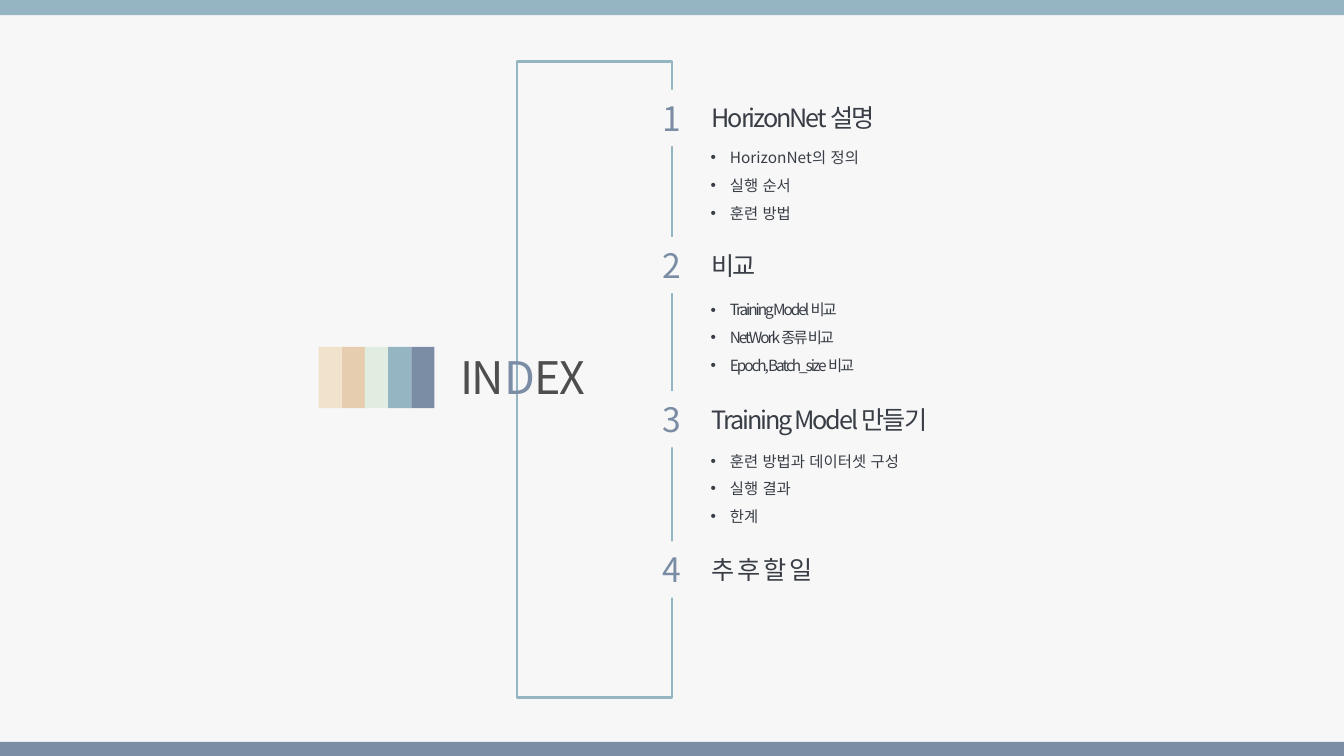
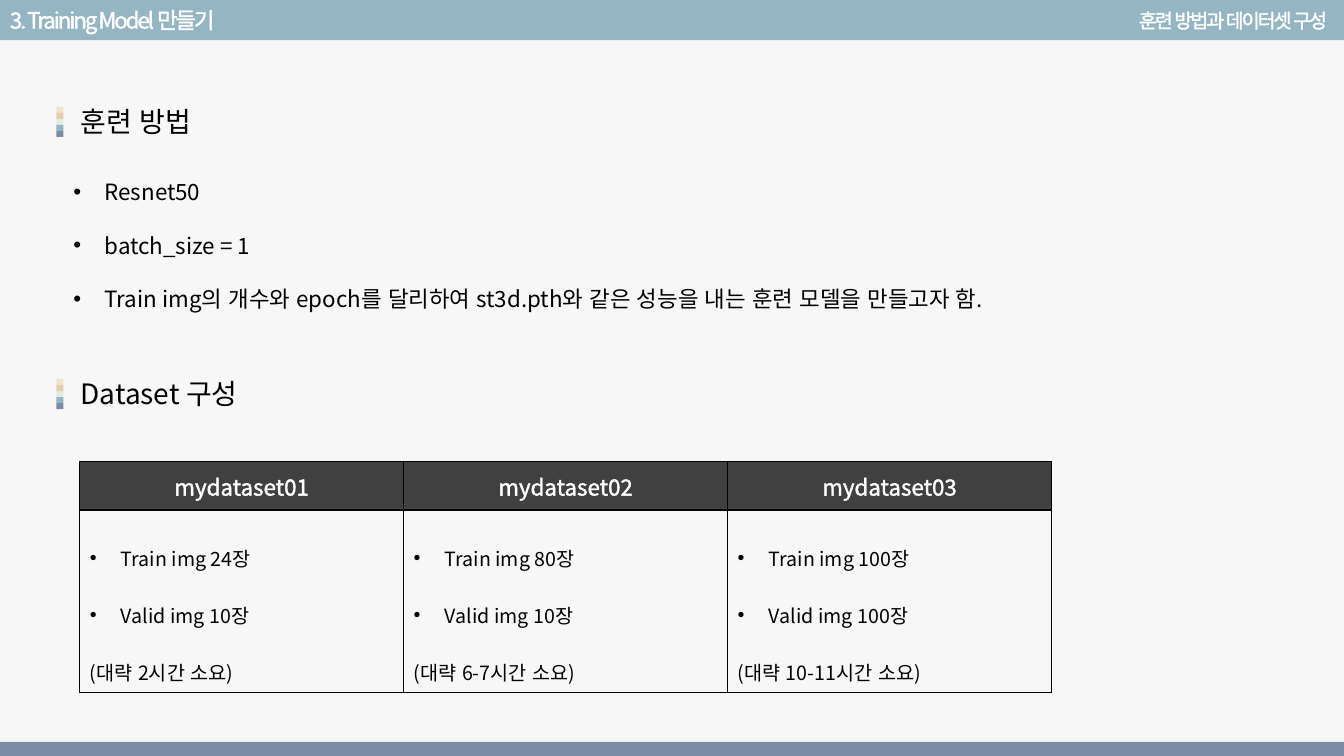
"""Build an index slide and a training-method slide."""
import dataclasses

import lxml.etree
import pptx
import pptx.dml.color
import pptx.enum.lang
import pptx.enum.shapes
import pptx.enum.text
import pptx.oxml.ns
import pptx.util

Inches = pptx.util.Inches
Pt = pptx.util.Pt
qn = pptx.oxml.ns.qn
ALIGN = pptx.enum.text.PP_ALIGN
ANCHOR = pptx.enum.text.MSO_ANCHOR
KOREAN = pptx.enum.lang.MSO_LANGUAGE_ID.KOREAN


@dataclasses.dataclass(frozen=True)
class Style:
    """Look of a run of text; outline holds colour, width and alpha percent."""
    size: float
    color: str
    outline: tuple
    spacing: float = 0


@dataclasses.dataclass(frozen=True)
class Theme:
    """Colours, fonts and text styles shared by the slides."""
    font: str = "Noto Sans CJK KR"
    bullet_font: str = "Arial"
    width: float = 13.33
    height: float = 7.5
    paper: str = "F7F7F7"
    teal: str = "94B5C1"
    slate: str = "7A8DA5"
    header: str = "404040"
    black: str = "000000"
    palette: tuple = ("F1E2CB", "E6CDAF", "E2EDE2", "94B5C1", "7A8DA5")
    index: Style = Style(32, "4E4E4E", ("000000", 0.75, 30), -1.5)
    number: Style = Style(24, "7A8DA5", ("000000", 0.75, 30), -1.5)
    chapter: Style = Style(18, "393E46", ("000000", 0.75, 30), -1.5)
    item: Style = Style(11, "393E46", ("000000", 0.75, 30))
    crumb: Style = Style(16, "FFFFFF", ("FFFFFF", 0.5, 100), -1.5)
    topic: Style = Style(14, "FFFFFF", ("FFFFFF", 0.25, 100), -1.5)
    heading: Style = Style(20, "000000", ("000000", 1, 100))
    body: Style = Style(16, "000000", ("393E46", 0.75, 30))
    column: Style = Style(16, "FFFFFF", ("FFFFFF", 1, 100))
    cell: Style = Style(14, "000000", ("393E46", 0.75, 30))


T = Theme()


def rgb(value):
    """Return a colour from its hex form."""
    return pptx.dml.color.RGBColor.from_string(value)


def apply(obj, **formats):
    """Set each named attribute on an object."""
    for name, value in formats.items():
        setattr(obj, name, value)


def line_xml(tag, color, width, alpha=100):
    """Return a solid line element."""
    ln = lxml.etree.Element(qn(tag), w=str(Pt(width)))
    fill = lxml.etree.SubElement(ln, qn("a:solidFill"))
    clr = lxml.etree.SubElement(fill, qn("a:srgbClr"), val=color)
    if alpha < 100:
        lxml.etree.SubElement(clr, qn("a:alpha"), val=str(alpha * 1000))
    lxml.etree.SubElement(ln, qn("a:prstDash"), val="solid")
    return ln


def add_run(p, text, style):
    """Add a styled run to a paragraph."""
    r = p.add_run()
    r.text = text
    apply(r.font, size=Pt(style.size), name=T.font, language_id=KOREAN)
    r.font.color.rgb = rgb(style.color)
    props = r._r.get_or_add_rPr()
    if style.spacing:
        props.set("spc", str(int(style.spacing * 100)))
    props.insert(0, line_xml("a:ln", *style.outline))
    lxml.etree.SubElement(props, qn("a:ea"), typeface=T.font)


def add_bullet(p, indent):
    """Give a paragraph a hanging bullet."""
    props = p._p.get_or_add_pPr()
    for name, value in {"marL": Inches(indent), "indent": -Inches(indent)}.items():
        props.set(name, str(value))
    lxml.etree.SubElement(props, qn("a:buFont"), typeface=T.bullet_font)
    lxml.etree.SubElement(props, qn("a:buChar"), char="•")


def write_lines(tf, lines, style, indent=0, spacing=None, align=None, plain=()):
    """Fill a text frame, one paragraph a line, bulleted unless plain."""
    for i, text in enumerate(lines):
        p = tf.add_paragraph() if i else tf.paragraphs[0]
        if indent and text not in plain:
            add_bullet(p, indent)
        apply(p, line_spacing=spacing, alignment=align)
        add_run(p, text, style)


def add_text(shapes, at, lines, style, anchor=ANCHOR.TOP, **formats):
    """Add a wrapped text box."""
    tf = shapes.add_textbox(*map(Inches, at)).text_frame
    apply(tf, word_wrap=True, vertical_anchor=anchor,
          auto_size=pptx.enum.text.MSO_AUTO_SIZE.SHAPE_TO_FIT_TEXT)
    write_lines(tf, lines, style, **formats)
    return tf


def add_rect(shapes, at, fill=None, line=None):
    """Add a flat rectangle with an optional fill and line."""
    sp = shapes.add_shape(pptx.enum.shapes.MSO_SHAPE.RECTANGLE, *map(Inches, at))
    sp.shadow.inherit = False
    if fill:
        sp.fill.solid()
        sp.fill.fore_color.rgb = rgb(fill)
    else:
        sp.fill.background()
    if line:
        sp.line.color.rgb = rgb(line)
        sp.line.width = Pt(1.5)
    else:
        sp.line.fill.background()


def add_swatches(s, left, top, width, height, across):
    """Add the grouped palette as a row or a column of swatches."""
    shapes = s.shapes.add_group_shape().shapes
    for i, color in enumerate(T.palette):
        x, y = (left + i * width, top) if across else (left, top + i * height)
        add_rect(shapes, (x, y, width, height), color)


def add_slide(prs, band_height):
    """Add a blank slide with background and both bands."""
    s = prs.slides.add_slide(prs.slide_layouts[6])
    s.background.fill.solid()
    s.background.fill.fore_color.rgb = rgb(T.paper)
    add_rect(s.shapes, (0, 0, T.width, band_height), T.teal)
    add_rect(s.shapes, (0, 7.36, T.width, 0.15), T.slate)
    return s


def add_chapter(s, number, title, top):
    """Add a numbered chapter that interrupts the frame."""
    shapes = s.shapes.add_group_shape().shapes
    add_rect(shapes, (6.17, top, 0.9, 0.56), T.paper)
    add_text(shapes, (6.47, top + 0.03, 0.6, 0.5), [str(number)], T.number)
    add_text(shapes, (6.96, top + 0.08, 2.8, 0.4), [title], T.chapter)


def add_heading(s, text, top):
    """Add a section heading with its colour marker."""
    add_text(s.shapes, (0.7, top, 2.37, 0.44), [text], T.heading)
    add_swatches(s, 0.56, top + 0.07, 0.07, 0.06, across=False)


def format_cell(cell, fill=None):
    """Set the borders and fill of a table cell."""
    props = cell._tc.get_or_add_tcPr()
    for side in "LRTB":
        props.append(line_xml("a:ln" + side, T.black, 1))
    if fill:
        cell.fill.solid()
        cell.fill.fore_color.rgb = rgb(fill)
    else:
        cell.fill.background()


def add_dataset_table(s, datasets):
    """Add the table with one data set a column."""
    heights = (0.48, 1.81)
    at = (0.79, 4.58, 9.64, sum(heights))
    table = s.shapes.add_table(len(heights), len(datasets), *map(Inches, at)).table
    apply(table, first_row=False, horz_banding=False)
    for row, height in zip(table.rows, heights):
        row.height = Inches(height)
    for col, (name, train, valid, hours) in enumerate(datasets):
        head, body = table.cell(0, col), table.cell(1, col)
        format_cell(head, T.header)
        format_cell(body)
        head.vertical_anchor = ANCHOR.MIDDLE
        write_lines(head.text_frame, [name], T.column, align=ALIGN.CENTER)
        duration = f"(대략 {hours}시간 소요)"
        lines = [f"Train img {train}장", f"Valid img {valid}장", duration]
        write_lines(body.text_frame, lines, T.cell, indent=0.31, spacing=2.0, plain=(duration,))


def build_index(prs):
    """Build the index slide."""
    s = add_slide(prs, 0.15)
    add_rect(s.shapes, (5.13, 0.61, 1.54, 6.31), line=T.teal)
    tf = add_text(s.shapes, (4.47, 3.42, 1.7, 0.64), ["IN"], T.index)
    add_run(tf.paragraphs[0], "D", dataclasses.replace(T.index, color=T.slate))
    add_run(tf.paragraphs[0], "EX", T.index)
    add_swatches(s, 3.16, 3.44, 0.23, 0.61, across=True)
    chapters = [("HorizonNet 설명", 0.89), ("비교", 2.35),
                ("Training Model 만들기", 3.88), ("추 후 할 일", 5.37)]
    for number, (title, top) in enumerate(chapters, 1):
        add_chapter(s, number, title, top)
    tight = dataclasses.replace(T.item, spacing=-1.5)
    details = [
        (1.33, T.item, ["HorizonNet의 정의", "실행 순서", "훈련 방법"]),
        (2.84, tight, ["Training Model 비교", "NetWork 종류 비교", "Epoch, Batch_size 비교"]),
        (4.34, T.item, ["훈련 방법과 데이터셋 구성", "실행 결과", "한계"]),
    ]
    for top, style, lines in details:
        add_text(s.shapes, (6.95, top, 2.48, 0.91), lines, style, indent=0.19, spacing=1.5)


def build_training(prs):
    """Build the training-method and data-set slide."""
    s = add_slide(prs, 0.4)
    add_text(s.shapes, (0, 0.01, 2.94, 0.37), ["3. Training Model 만들기"], T.crumb,
             anchor=ANCHOR.MIDDLE)
    add_text(s.shapes, (10.32, 0.03, 2.94, 0.34), ["훈련 방법과 데이터셋 구성"], T.topic,
             anchor=ANCHOR.MIDDLE, align=ALIGN.RIGHT)
    add_heading(s, "훈련 방법", 0.99)
    methods = ["Resnet50", "batch_size = 1",
               "Train img의 개수와 epoch를 달리하여 st3d.pth와 같은 성능을 내는 "
               "훈련 모델을 만들고자 함."]
    add_text(s.shapes, (0.63, 1.45, 10.26, 1.65), methods, T.body, indent=0.31, spacing=2.0)
    add_heading(s, "Dataset 구성", 3.69)
    add_dataset_table(s, [("mydataset01", 24, 10, "2"), ("mydataset02", 80, 10, "6-7"),
                          ("mydataset03", 100, 100, "10-11")])


def main():
    """Build and save the presentation."""
    prs = pptx.Presentation()
    apply(prs, slide_width=Inches(T.width), slide_height=Inches(T.height))
    build_index(prs)
    build_training(prs)
    prs.save("out.pptx")


if __name__ == "__main__":
    main()
